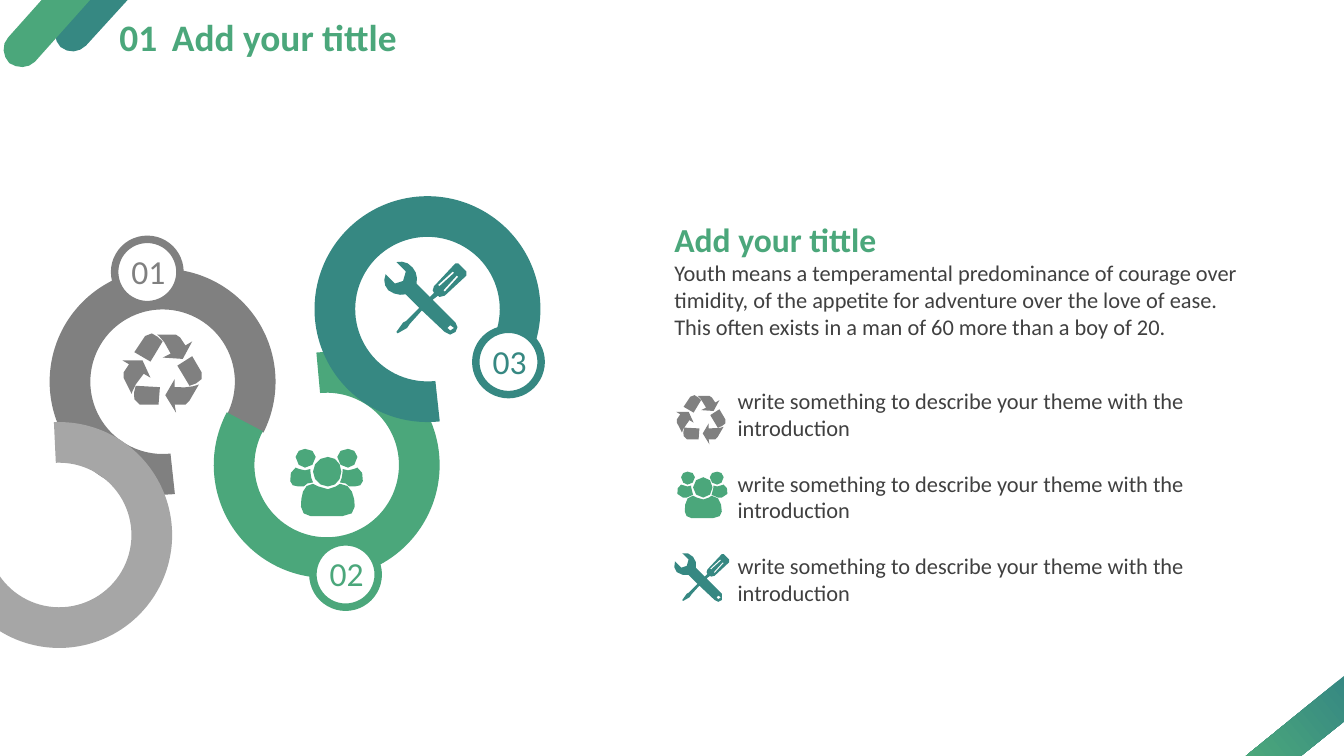
import math

import pptx
import pptx.dml.color
import pptx.enum.shapes
import pptx.enum.text
import pptx.util

Pt = pptx.util.Pt
RGB = pptx.dml.color.RGBColor.from_string
SHAPE = pptx.enum.shapes.MSO_SHAPE
AUTO_SIZE = pptx.enum.text.MSO_AUTO_SIZE

COLORS = {"green": "4BA77B", "teal": "368882", "grey": "808080",
          "silver": "A6A6A6", "text": "404040", "white": "FFFFFF"}
UNIT = 0.72  # outline points are given in hundredths of an inch

# Outlines: a pair is a straight step, six numbers are a Bezier curve.
RECYCLE = [
    [(21, 33), (16, 30), (8, 39, 7, 45, 7, 45), (1, 33), (0, 31, 1, 29, 1, 29),
     (5, 23), (0, 20), (15, 20)],
    [(27, 53), (13, 53), (11, 52, 10, 51, 9, 49), (8, 46, 9, 42, 10, 39), (28, 40)],
    [(21, 21), (9, 14), (17, 2), (18, 1, 20, 0, 22, 0),
     (25, 1, 28, 4, 30, 6), (21, 21)],
    [(52, 6), (45, 19), (30, 18), (36, 15), (31, 4, 26, 1, 26, 1), (40, 1),
     (43, 3), (47, 9)],
    [(50, 50), (47, 53), (39, 53), (40, 59), (32, 46), (39, 34), (39, 40),
     (51, 41, 57, 38, 57, 38)],
    [(59, 29), (60, 31, 60, 33, 59, 34), (57, 37, 53, 38, 50, 39), (41, 24), (52, 17)],
]
SIDE_PERSON = [
    [(11, 14), (8, 14, 4, 11, 4, 6), (4, 2, 8, 0, 11, 0),
     (15, 0, 19, 2, 19, 6), (19, 11, 15, 14, 11, 14)],
    [(10, 28), (6, 28), (3, 28, 0, 27, 0, 24), (0, 21, 0, 14, 4, 14),
     (5, 14, 8, 16, 11, 16), (15, 15), (15, 17),
     (15, 20, 16, 23, 17, 25), (14, 25, 11, 26, 10, 28)],
]
MIDDLE_PERSON = [
    [(28, 28), (22, 28, 17, 23, 17, 17), (17, 11, 22, 6, 28, 6),
     (34, 6, 38, 11, 38, 17), (38, 23, 34, 28, 28, 28)],
    [(39, 50), (15, 50), (11, 50, 8, 47, 8, 43), (8, 36, 9, 26, 17, 26),
     (19, 26, 22, 30, 28, 30), (33, 30, 36, 26, 37, 26),
     (46, 26, 48, 36, 48, 43), (48, 47, 45, 50, 39, 50)],
]
MIRRORED_PERSON = [
    [tuple(v if i % 2 else 54 - v for i, v in enumerate(step)) for step in contour]
    for contour in SIDE_PERSON]
PEOPLE = SIDE_PERSON + MIDDLE_PERSON + MIRRORED_PERSON
TOOLS = [
    [(62, 8), (56, 2), (54, 2), (52, 4), (38, 19), (37, 22), (38, 24), (35, 27),
     (25, 17), (26, 13, 25, 8, 22, 5), (19, 1, 14, 0, 10, 1), (17, 8), (15, 15),
     (9, 17), (2, 10), (0, 14, 1, 19, 4, 22), (8, 25, 13, 26, 17, 25), (27, 35),
     (17, 45), (15, 46), (10, 53), (11, 54), (18, 50), (20, 47), (29, 37),
     (46, 53), (47, 55, 48, 55, 50, 55), (51, 55, 53, 55, 54, 53),
     (56, 51, 56, 48, 54, 46), (37, 29), (41, 26), (42, 27), (46, 26),
     (60, 13), (62, 11)],
    [(50, 48), (52, 48, 53, 49, 53, 50), (53, 52, 52, 52, 50, 52),
     (49, 52, 48, 52, 48, 50)],
    [(42, 19), (41, 18), (52, 8), (53, 9)],
    [(46, 23), (45, 22), (55, 11), (56, 12)],
]
TEAL_STRIPE = [[(59, 0), (95, 0), (64, 34), (59, 39, 51, 40, 45, 35),
                (40, 30, 40, 22, 44, 16)]]
GREEN_STRIPE = [[(31, 0), (67, 0), (26, 46), (21, 51, 13, 51, 7, 47),
                 (2, 42, 1, 33, 6, 28)]]
CORNER_STRIPE = [[(1000, 503), (1000, 537), (968, 562.5), (927, 562.5)]]

prs = pptx.Presentation()
prs.slide_width, prs.slide_height = Pt(720), Pt(405)
s = prs.slides.add_slide(prs.slide_layouts[6])


def add_outline(contours, color, left=0, top=0, scale=1):
    """Draw closed contours as one freeform; longer curves get more steps."""
    builder = None
    for contour in contours:
        points = []
        for step in contour:
            if len(step) == 2:
                points.append(step)
                continue
            x0, y0 = points[-1]
            x1, y1, x2, y2, x3, y3 = step
            n = max(1, math.ceil(math.hypot(x3 - x0, y3 - y0) * scale / 6))
            for t in (i / n for i in range(1, n + 1)):
                a, b, c, d = (1 - t)**3, 3 * t * (1 - t)**2, 3 * t * t * (1 - t), t**3
                points.append((a * x0 + b * x1 + c * x2 + d * x3,
                               a * y0 + b * y1 + c * y2 + d * y3))
        points = [(Pt(left + x * UNIT * scale), Pt(top + y * UNIT * scale))
                  for x, y in points]
        if builder is None:
            builder = s.shapes.build_freeform(*points[0], scale=1.0)
        else:
            builder.move_to(*points[0])
        builder.add_line_segments(points[1:], close=True)
    sp = builder.convert_to_shape()
    sp.shadow.inherit = False
    sp.fill.solid()
    sp.fill.fore_color.rgb = RGB(COLORS[color])
    sp.line.fill.background()
    return sp


def add_text(text, left, top, width, height, size, color, bold=False, wrap=False):
    sp = s.shapes.add_textbox(Pt(left), Pt(top), Pt(width), Pt(height))
    tf = sp.text_frame
    tf.text = text
    tf.word_wrap = wrap
    tf.auto_size = AUTO_SIZE.SHAPE_TO_FIT_TEXT
    font = tf.paragraphs[0].runs[0].font
    font.name, font.size, font.bold = "Calibri", Pt(size), bold
    font.color.rgb = RGB(COLORS[color])


# Corner decoration and slide title
add_outline(TEAL_STRIPE, "teal")
add_outline(GREEN_STRIPE, "green")
corner = add_outline(CORNER_STRIPE, "green")
corner.fill.gradient()
corner.fill.gradient_angle = 219
for stop, position, color in zip(corner.fill.gradient_stops, (0, 1), ("teal", "green")):
    stop.position = position
    stop.color.rgb = RGB(COLORS[color])
add_text("01", 56.9, 4.3, 35.3, 31.7, 20, "green", bold=True)
add_text("Add your tittle", 85, 4.3, 136.8, 31.7, 20, "green", bold=True)

# Winding road
for left, top, rotation, color in [(26.6, 144, 26.8, "grey"),
                                   (-28.8, 226.1, 210.4, "silver"),
                                   (114.5, 188.6, 207.8, "green"),
                                   (168.5, 105.1, 26.8, "teal")]:
    sp = s.shapes.add_shape(SHAPE.BLOCK_ARC, Pt(left), Pt(top), Pt(121), Pt(121))
    sp.shadow.inherit = False
    sp.rotation = rotation
    sp.adjustments[0] = 56.94 * 0.6  # degrees to adjustment units
    sp.adjustments[1] = 0
    sp.adjustments[2] = 0.18
    sp.fill.solid()
    sp.fill.fore_color.rgb = RGB(COLORS[color])
    sp.line.fill.background()

# Description
add_text("Add your tittle", 354.2, 113.8, 123.8, 28.8, 18, "green", bold=True)
add_text("Youth means a temperamental predominance of courage over timidity, "
         "of the appetite for adventure over the love of ease. This often exists "
         "in a man of 60 more than a boy of 20.",
         354.2, 135.4, 326.2, 51.1, 12, "text", wrap=True)
for i, width in enumerate((280.8, 280.8, 270.7)):
    add_text("write something to describe your theme with the introduction",
             388.1, 203.8 + 44.3 * i, width, 36, 12, "text", wrap=True)

# Numbered badges
for number, left, top, color in [("01", 61.4, 128.2, "grey"),
                                 ("02", 167.6, 290.3, "green"),
                                 ("03", 254.9, 176.4, "teal")]:
    sp = s.shapes.add_shape(SHAPE.OVAL, Pt(left), Pt(top), Pt(35), Pt(35))
    sp.shadow.inherit = False
    sp.fill.solid()
    sp.fill.fore_color.rgb = RGB(COLORS["white"])
    sp.line.color.rgb = RGB(COLORS[color])
    sp.line.width = Pt(4)
    add_text(number, left + 1.9, top + 2.6, 33.1, 28.8, 18, color)

# Each icon appears on the road and, smaller, beside its caption
for icon, color, road, caption, scale in [
        (RECYCLE, "grey", (65.5, 178.6), (362.2, 211.7), 0.62),
        (PEOPLE, "green", (155.5, 240.5), (362.9, 252.7), 0.69),
        (TOOLS, "teal", (205.2, 139.7), (360.7, 295.9), 0.67)]:
    add_outline(icon, color, *road)
    add_outline(icon, color, *caption, scale)

prs.save("out.pptx")
